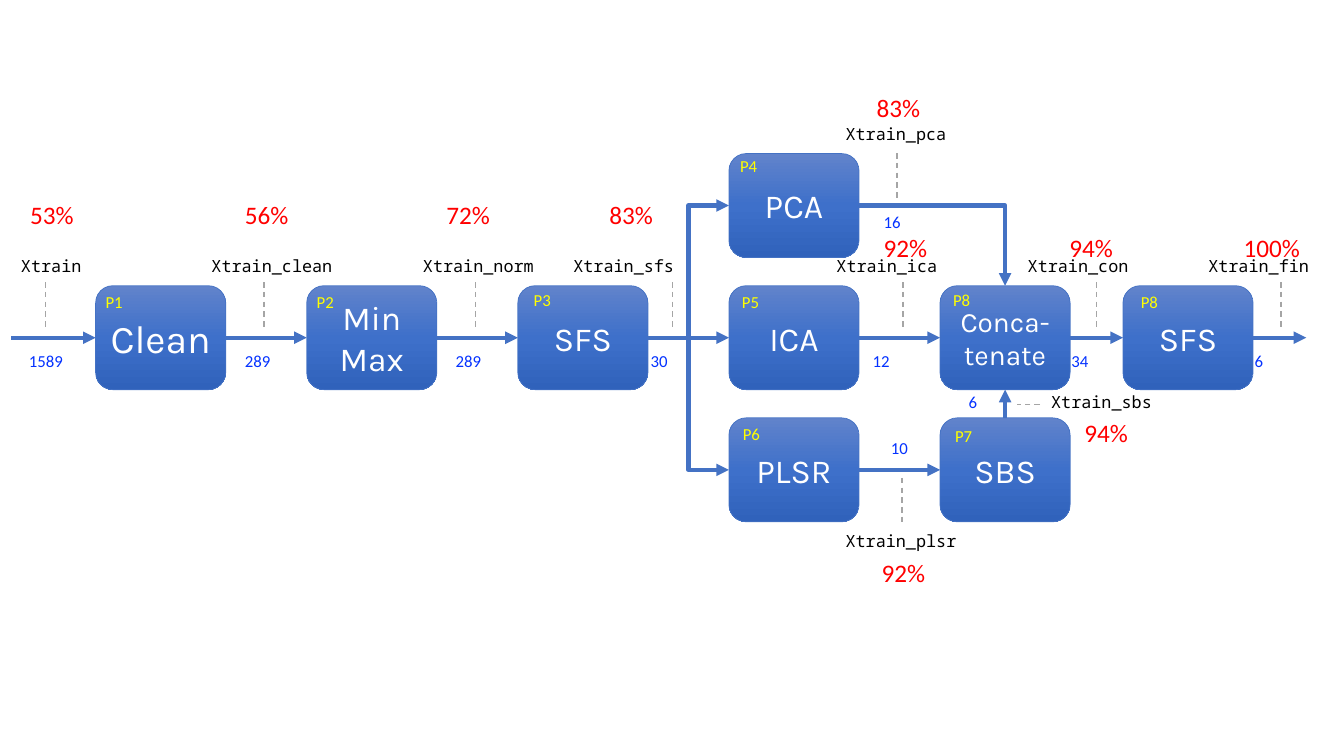
"""Build the feature-selection pipeline slide."""
from copy import deepcopy
from dataclasses import dataclass
from typing import Optional

from lxml import etree
from pptx import Presentation
from pptx import util as u
from pptx.dml.color import RGBColor
from pptx.enum import dml, shapes, text
from pptx.oxml import ns

COLOURS = {
    "flow": "4472C4", "leader": "A5A5A5", "title": "FFFFFF", "dataset": "000000",
    "count": "0432FF", "tag": "FFFF00", "accuracy": "FF0000",
    "top": "6183CB", "middle": "3E70CA", "bottom": "3062BB",
}
BLOCK_W, BLOCK_H = 3.28, 2.62
COLUMNS = [2.41 + 5.32 * step for step in range(5)] + [28.3]
ROWS = [3.87 + 3.33 * step for step in range(3)]
MAIN_Y = ROWS[1] + BLOCK_H / 2
TOP, LEFT, BOTTOM, RIGHT = range(4)


@dataclass(frozen=True)
class Block:
    """A processing step of the pipeline."""
    key: str
    title: str
    tag: str
    column: int
    row: int
    size: int = 24
    tag_dx: float = 0
    tag_dy: float = 0.03


@dataclass(frozen=True)
class Link:
    """An arrow between two block sides."""
    source: str
    target: str
    start: int = RIGHT
    end: int = LEFT
    bend: Optional[str] = None


@dataclass(frozen=True)
class LabelStyle:
    """The look and estimated extent of a kind of label."""
    colour: str
    font: str
    size: int
    char_width: float
    height: float


@dataclass(frozen=True)
class Label:
    """A short text at a place on the slide."""
    style: str
    words: str
    left: float
    top: float


STYLES = {
    "dataset": LabelStyle("dataset", "Noto Sans Mono", 12, 0.254, 0.77),
    "count": LabelStyle("count", "Calibri", 12, 0.215, 0.77),
    "tag": LabelStyle("tag", "Calibri", 12, 0.23, 0.77),
    "accuracy": LabelStyle("accuracy", "Calibri", 18, 0.37, 1.03),
}
BLOCKS = [
    Block("clean", "Clean", "P1", 0, 1, size=28),
    Block("minmax", "Min\nMax", "P2", 1, 1),
    Block("sfs", "SFS", "P3", 2, 1, tag_dx=0.15, tag_dy=-0.03),
    Block("pca", "PCA", "P4", 3, 0, tag_dx=0.03, tag_dy=-0.08),
    Block("ica", "ICA", "P5", 3, 1, tag_dx=0.08),
    Block("plsr", "PLSR", "P6", 3, 2, tag_dx=0.1),
    Block("concatenate", "Conca-tenate", "P8", 4, 1, size=20, tag_dx=0.08, tag_dy=-0.03),
    Block("sbs", "SBS", "P7", 4, 2, tag_dx=0.13, tag_dy=0.08),
    Block("final_sfs", "SFS", "P8", 5, 1, tag_dx=0.2),
]
LINKS = [
    Link("clean", "minmax"),
    Link("minmax", "sfs"),
    Link("sfs", "ica"),
    Link("sfs", "pca", bend="bentConnector3"),
    Link("sfs", "plsr", bend="bentConnector3"),
    Link("ica", "concatenate"),
    Link("plsr", "sbs"),
    Link("sbs", "concatenate", TOP, BOTTOM),
    Link("pca", "concatenate", RIGHT, TOP, "bentConnector2"),
    Link("concatenate", "final_sfs"),
]
LABEL_ROWS = [
    ("dataset", 6.32, {0.28: "Xtrain", 5.08: "Xtrain_clean", 10.41: "Xtrain_norm",
                       14.2: "Xtrain_sfs", 20.83: "Xtrain_ica", 25.65: "Xtrain_con",
                       30.2: "Xtrain_fin"}),
    ("count", 8.71, {0.48: "1589", 5.92: "289", 11.23: "289", 16.15: "30",
                     21.74: "12", 26.75: "34", 31.37: "6"}),
    ("accuracy", 4.9, {0.51: "53%", 5.92: "56%", 11.0: "72%", 15.11: "83%"}),
    ("accuracy", 5.74, {22.02: "92%", 26.7: "94%", 31.09: "100%"}),
]
BRANCH_LABELS = [
    Label("dataset", "Xtrain_pca", 21.06, 3.0),
    Label("dataset", "Xtrain_plsr", 21.06, 13.26),
    Label("dataset", "Xtrain_sbs", 26.24, 9.75),
    Label("count", "16", 22.02, 5.21),
    Label("count", "10", 22.2, 10.9),
    Label("count", "6", 24.16, 9.75),
    Label("accuracy", "83%", 21.84, 2.21),
    Label("accuracy", "92%", 21.97, 13.92),
    Label("accuracy", "94%", 27.08, 10.39),
]
LEADERS = [(x, 7.11, x, 8.31) for x in (1.14, 6.65, 11.99, 16.94, 22.76, 27.64, 32.28)] + [
    (22.73, 12.04, 22.73, 13.26), (22.61, 3.86, 22.61, 5.05), (26.21, 10.19, 25.63, 10.19)]


def rgb(name: str) -> RGBColor:
    """Look up a named colour."""
    return RGBColor.from_string(COLOURS[name])


def apply(target, **values) -> None:
    """Set format values on an object."""
    for attribute, value in values.items():
        setattr(target, attribute, value)


def write(frame, words: str, font: str, size: int, colour: str, **layout) -> None:
    """Fill a text frame and format its paragraphs."""
    frame.text = words
    apply(frame, **layout)
    for paragraph in frame.paragraphs:
        apply(paragraph.font, name=font, size=u.Pt(size))
        paragraph.font.color.rgb = rgb(colour)


def shade(fill) -> None:
    """Apply the vertical three-stop gradient."""
    fill.gradient()
    fill.gradient_angle = 270
    stops = fill.gradient_stops
    stops[0]._gs.addnext(deepcopy(stops[0]._gs))
    for stop, name, position in zip(fill.gradient_stops, ("top", "middle", "bottom"), (0, 0.5, 1)):
        stop.color.rgb = rgb(name)
        stop.position = position


def draw_block(slide, block: Block):
    """Draw a rounded block with its title."""
    box = slide.shapes.add_shape(
        shapes.MSO_SHAPE.ROUNDED_RECTANGLE, u.Cm(COLUMNS[block.column]),
        u.Cm(ROWS[block.row]), u.Cm(BLOCK_W), u.Cm(BLOCK_H))
    shade(box.fill)
    box.line.color.rgb = rgb("flow")
    box.line.width = u.Pt(0.5)
    box.shadow.inherit = False
    write(box.text_frame, block.title, "Karla", block.size, "title",
          word_wrap=True, vertical_anchor=text.MSO_ANCHOR.MIDDLE)
    for paragraph in box.text_frame.paragraphs:
        paragraph.alignment = text.PP_ALIGN.CENTER
    return box


def draw_label(slide, label: Label) -> None:
    """Draw an unwrapped label."""
    style = STYLES[label.style]
    box = slide.shapes.add_textbox(
        u.Cm(label.left), u.Cm(label.top),
        u.Cm(0.51 + style.char_width * len(label.words)), u.Cm(style.height))
    write(box.text_frame, label.words, style.font, style.size, style.colour,
          word_wrap=False, auto_size=text.MSO_AUTO_SIZE.SHAPE_TO_FIT_TEXT)


def draw_line(slide, ends: tuple, colour: str, width: float, bend: Optional[str] = None):
    """Draw a flow arrow or a dashed leader."""
    kind = shapes.MSO_CONNECTOR.ELBOW if bend else shapes.MSO_CONNECTOR.STRAIGHT
    line = slide.shapes.add_connector(kind, *(u.Cm(end) for end in ends))
    properties = line._element.spPr
    if bend:
        properties.find(ns.qn("a:prstGeom")).set("prst", bend)
    line.line.color.rgb = rgb(colour)
    line.line.width = u.Pt(width)
    if colour == "leader":
        line.line.dash_style = dml.MSO_LINE.DASH
    else:
        etree.SubElement(line.line._get_or_add_ln(), ns.qn("a:tailEnd"), type="triangle")
    etree.SubElement(properties, ns.qn("a:effectLst"))
    return line


def main() -> None:
    """Build and save the slide."""
    deck = Presentation()
    apply(deck, slide_width=u.Cm(33.87), slide_height=u.Cm(19.05))
    slide = deck.slides.add_slide(deck.slide_layouts[6])
    boxes = {block.key: draw_block(slide, block) for block in BLOCKS}
    for link in LINKS:
        arrow = draw_line(slide, (0, 0, 1, 1), "flow", 3, link.bend)
        arrow.begin_connect(boxes[link.source], link.start)
        arrow.end_connect(boxes[link.target], link.end)
    entry = draw_line(slide, (0.28, MAIN_Y, COLUMNS[0], MAIN_Y), "flow", 3)
    entry.end_connect(boxes["clean"], LEFT)
    result = draw_line(slide, (COLUMNS[5] + BLOCK_W, MAIN_Y, 32.92, MAIN_Y), "flow", 3)
    result.begin_connect(boxes["final_sfs"], RIGHT)
    for leader in LEADERS:
        draw_line(slide, leader, "leader", 1)
    row_labels = [Label(style, words, left, top)
                  for style, top, row in LABEL_ROWS for left, words in row.items()]
    tags = [Label("tag", block.tag, COLUMNS[block.column] + block.tag_dx,
                  ROWS[block.row] + block.tag_dy) for block in BLOCKS]
    for label in row_labels + BRANCH_LABELS + tags:
        draw_label(slide, label)
    deck.save("out.pptx")


if __name__ == "__main__":
    main()
